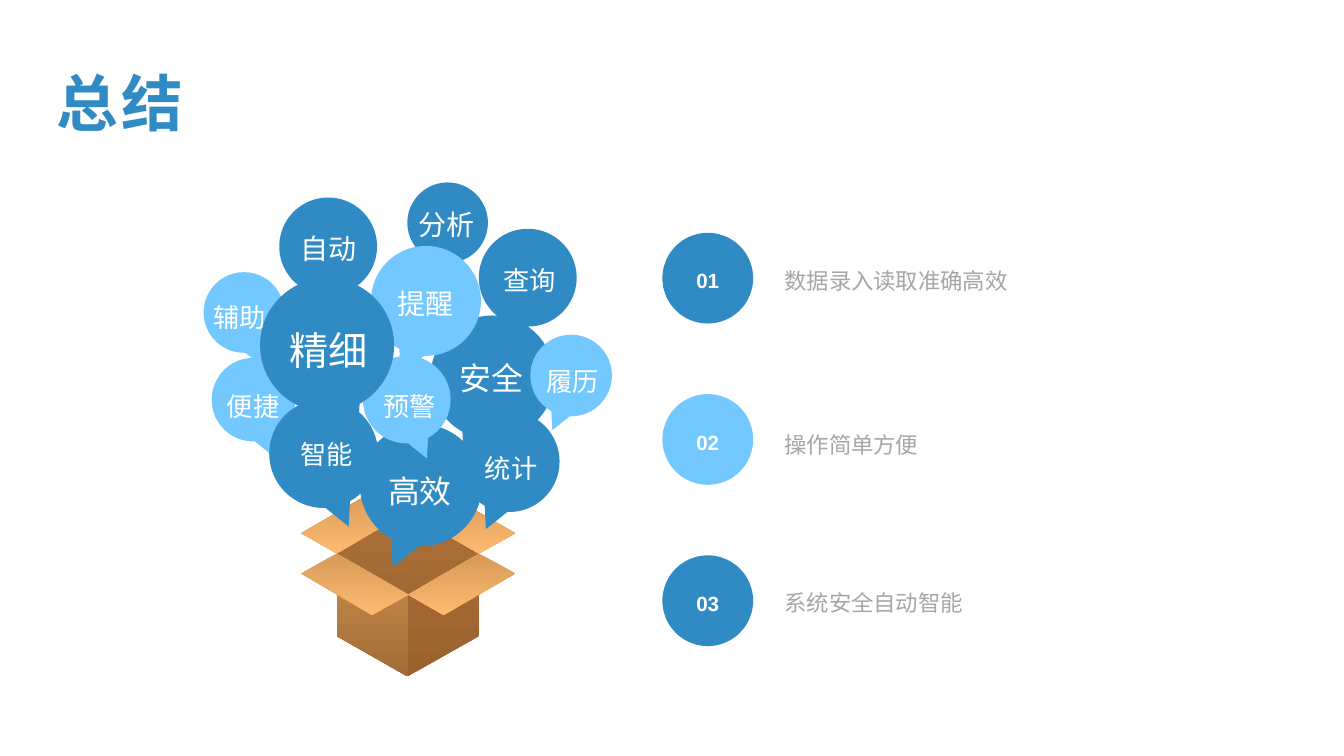
"""Builds the summary slide: speech bubbles over an open box and three points."""
from math import cos, radians, sin

from lxml import etree
from pptx import Presentation
from pptx import util as u
from pptx.dml.color import RGBColor
from pptx.enum import shapes, text
from pptx.oxml import ns

BLUE = RGBColor(0x30, 0x8B, 0xC4)
SKY = RGBColor(0x73, 0xC8, 0xFF)
GREY = RGBColor(0xA6, 0xA6, 0xA6)
WHITE = RGBColor(0xFF, 0xFF, 0xFF)
BROWN = RGBColor(0xAA, 0x6F, 0x39)
DARK = RGBColor(0x9C, 0x62, 0x2E)
INNER = RGBColor(0xA1, 0x6A, 0x34)
TAN = RGBColor(0xCB, 0x8F, 0x4D)
UMBER = RGBColor(0xA1, 0x6C, 0x38)
SAND = RGBColor(0xD6, 0x9B, 0x59)
GOLD = RGBColor(0xFE, 0xBA, 0x6F)

FACES = [
    (BROWN, DARK, [(4.04, 5.08), (3.34, 5.49), (3.34, 6.31),
                   (4.04, 6.71), (4.75, 6.31), (4.75, 5.49)]),
    (BROWN, INNER, [(4.05, 5.08), (3.34, 5.49), (4.05, 5.9)]),
    (SAND, GOLD, [(2.99, 5.29), (3.34, 5.49), (4.04, 5.08), (3.69, 4.88)]),
    (SAND, GOLD, [(5.11, 5.29), (4.75, 5.49), (4.05, 5.09), (4.4, 4.88)]),
    (TAN, UMBER, [(3.34, 5.49), (3.34, 6.31), (4.05, 6.71), (4.05, 5.9)]),
    (SAND, GOLD, [(2.99, 5.69), (3.34, 5.49), (4.05, 5.9), (3.69, 6.1)]),
    (SAND, GOLD, [(5.11, 5.69), (4.75, 5.49), (4.05, 5.9), (4.4, 6.1)]),
]

LEFT, RIGHT = "left", "right"
BUBBLES = [
    (4.04, 1.81, 0.8, LEFT, BLUE), (3.57, 4.21, 1.21, LEFT, BLUE),
    (4.55, 4.08, 1.0, LEFT, BLUE), (4.27, 3.13, 1.23, LEFT, BLUE),
    (3.68, 2.44, 1.09, LEFT, SKY), (5.26, 3.32, 0.81, LEFT, SKY),
    (2.02, 2.7, 0.8, RIGHT, SKY), (3.6, 3.53, 0.87, RIGHT, SKY),
    (2.1, 3.55, 0.83, RIGHT, SKY), (2.67, 3.96, 1.08, RIGHT, BLUE),
    (2.58, 2.76, 1.33, RIGHT, BLUE), (4.75, 2.27, 0.97, LEFT, BLUE),
    (2.77, 1.96, 0.97, RIGHT, BLUE),
]

WORDS = [
    ("精细", 2.77, 3.09, 28), ("安全", 4.46, 3.43, 22.7),
    ("高效", 3.75, 4.55, 22.7), ("提醒", 3.84, 2.73, 20),
    ("自动", 2.88, 2.18, 20), ("履历", 5.32, 3.51, 18.7),
    ("智能", 2.88, 4.24, 18.7), ("查询", 4.89, 2.51, 18.7),
    ("统计", 4.71, 4.38, 18.7), ("便捷", 2.15, 3.76, 18.7),
    ("预警", 3.7, 3.76, 18.7), ("分析", 4.05, 1.94, 20),
    ("辅助", 2.02, 2.88, 18.7),
]

POINTS = [
    ("数据录入读取准确高效", 2.6, BLUE),
    ("操作简单方便", 4.23, SKY),
    ("系统安全自动智能", 5.8, BLUE),
]


def write(shape, words, size, color, align, bold=False):
    frame = shape.text_frame
    frame.text = words
    para = frame.paragraphs[0]
    para.alignment = align
    para.line_spacing = 1.2
    font = para.runs[0].font
    font.name = "Arial"
    font.size = u.Pt(size)
    font.bold = bold
    font.color.rgb = color
    return frame


def outline(slide, points):
    spots = [(u.Inches(x), u.Inches(y)) for x, y in points]
    pen = slide.shapes.build_freeform(*spots[0], scale=1.0)
    pen.add_line_segments(spots[1:], close=True)
    shape = pen.convert_to_shape()
    shape.shadow.inherit = False
    shape.line.fill.background()
    return shape


def face(slide, top, base, points):
    fill = outline(slide, points).fill
    fill.gradient()
    fill.gradient_angle = 270
    for stop, color in zip(fill.gradient_stops, (top, base)):
        stop.color.rgb = color


def add_step(track, name, spot=None, **attrs):
    step = etree.SubElement(track, ns.qn(f"a:{name}"), attrs)
    if spot:
        x, y = (str(u.Inches(value)) for value in spot)
        etree.SubElement(step, ns.qn("a:pt"), x=x, y=y)


def bubble(slide, left, top, size, side, color):
    right, base = left + size, top + 1.17 * size
    shape = outline(slide, [(left, top), (right, top), (right, base), (left, base)])
    shape.fill.solid()
    shape.fill.fore_color.rgb = color
    angle, sweep, tip = (119, 333, 0.27) if side == LEFT else (61, -333, 0.73)
    turn = radians(angle)
    start = (size * (1 + cos(turn)) / 2, size * (1 + sin(turn)) / 2)
    radius = str(u.Inches(size / 2))
    track = shape._element.find(f".//{ns.qn('a:path')}")
    for step in list(track):
        track.remove(step)
    add_step(track, "moveTo", start)
    add_step(track, "arcTo", wR=radius, hR=radius,
             stAng=str(angle * 60000), swAng=str(sweep * 60000))
    add_step(track, "lnTo", (tip * size, 1.17 * size))
    add_step(track, "close")


def label(slide, words, left, top, size):
    wide = 0.2 + len(words) * size / 72
    high = 0.1 + size * 0.0185
    box = slide.shapes.add_textbox(*map(u.Inches, (left, top, wide, high)))
    frame = write(box, words, size, WHITE, text.PP_ALIGN.CENTER)
    frame.word_wrap = False
    frame.auto_size = text.MSO_AUTO_SIZE.SHAPE_TO_FIT_TEXT


def badge(slide, words, top, color):
    shape = slide.shapes.add_shape(
        shapes.MSO_SHAPE.ROUNDED_RECTANGLE,
        *map(u.Inches, (6.57, top, 0.9, 0.9)))
    shape.adjustments[0] = 0.5
    shape.shadow.inherit = False
    shape.fill.solid()
    shape.fill.fore_color.rgb = color
    shape.line.fill.background()
    frame = write(shape, words, 14.7, WHITE, text.PP_ALIGN.CENTER, True)
    frame.margin_left = frame.margin_right = 0
    frame.vertical_anchor = text.MSO_ANCHOR.MIDDLE


def caption(slide, words, top):
    box = slide.shapes.add_textbox(*map(u.Inches, (7.78, top, 2.34, 0.31)))
    frame = write(box, words, 16, GREY, text.PP_ALIGN.LEFT)
    frame.word_wrap = True
    frame.margin_left = frame.margin_right = 0
    frame.margin_top = frame.margin_bottom = u.Inches(0.11)
    frame.vertical_anchor = text.MSO_ANCHOR.MIDDLE


def heading(slide, words):
    title = slide.shapes.title
    title.left, title.top, title.width, title.height = map(
        u.Inches, (0.47, 0.45, 12.76, 0.9))
    frame = write(title, words, 44, BLUE, text.PP_ALIGN.LEFT, True)
    frame.margin_left = frame.margin_right = u.Inches(0.09)
    frame.vertical_anchor = text.MSO_ANCHOR.TOP
    frame.auto_size = text.MSO_AUTO_SIZE.SHAPE_TO_FIT_TEXT
    frame.paragraphs[0].runs[0].font._element.set("spc", "280")


def main():
    deck = Presentation()
    deck.slide_width, deck.slide_height = u.Inches(13.33), u.Inches(7.5)
    slide = deck.slides.add_slide(deck.slide_layouts[5])
    heading(slide, "总结")
    for item in FACES:
        face(slide, *item)
    for item in BUBBLES:
        bubble(slide, *item)
    for item in WORDS:
        label(slide, *item)
    for row, (words, top, color) in enumerate(POINTS):
        badge(slide, f"{row + 1:02}", 2.31 + 1.6 * row, color)
        caption(slide, words, top)
    deck.save("out.pptx")


if __name__ == "__main__":
    main()
